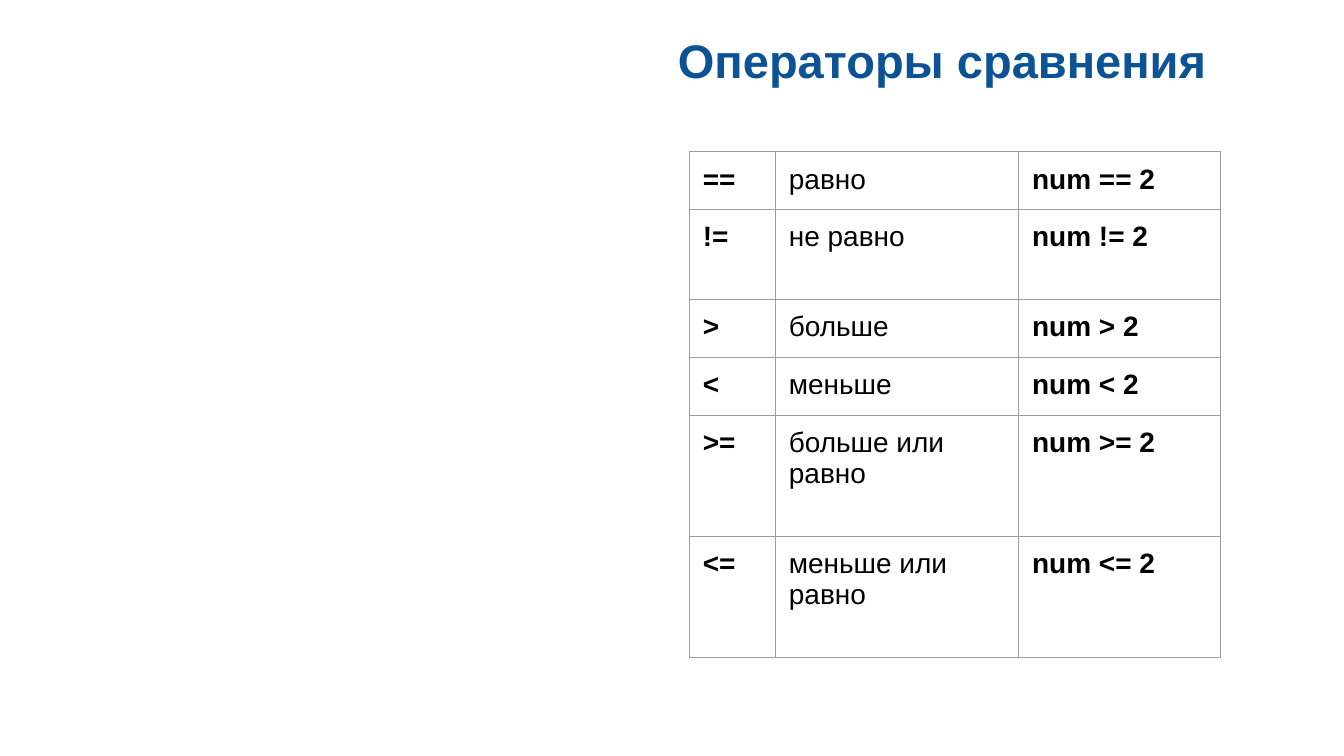
from lxml import etree
from pptx import Presentation
from pptx.dml.color import RGBColor
from pptx.enum import text
from pptx.oxml import ns
from pptx.util import Inches, Pt

BLUE = RGBColor(0x0B, 0x53, 0x94)
BLACK = RGBColor(0, 0, 0)
GREY = RGBColor(0x9E, 0x9E, 0x9E)

OPERATORS = [
    ("==", "равно", 0.43),
    ("!=", "не равно", 0.67),
    (">", "больше", 0.43),
    ("<", "меньше", 0.43),
    (">=", "больше или равно", 0.9),
    ("<=", "меньше или равно", 0.9),
]
COLUMN_WIDTHS = [0.64, 1.81, 1.5]


def style_text(frame, size, color, bold):
    for span in frame.paragraphs[0].runs:
        span.font.name = "Arial"
        span.font.size = Pt(size)
        span.font.bold = bold
        span.font.color.rgb = color


def add_borders(cell):
    properties = cell._tc.get_or_add_tcPr()
    for side in ("lnL", "lnR", "lnT", "lnB"):
        line = etree.SubElement(properties, ns.qn(f"a:{side}"), w=str(Pt(0.75)))
        fill = etree.SubElement(line, ns.qn("a:solidFill"))
        etree.SubElement(fill, ns.qn("a:srgbClr"), val=str(GREY))


deck = Presentation()
deck.slide_width = Inches(10)
deck.slide_height = deck.slide_width * 9 // 16
page = deck.slides.add_slide(deck.slide_layouts[6])

title = page.shapes.add_textbox(Inches(4.25), Inches(0.13), Inches(5.52), Inches(0.63))
frame = title.text_frame
frame.text = "Операторы сравнения"
frame.word_wrap = True
frame.vertical_anchor = text.MSO_ANCHOR.MIDDLE
frame.margin_left = frame.margin_right = Inches(0.1)
frame.margin_top = frame.margin_bottom = Inches(0.1)
frame.paragraphs[0].alignment = text.PP_ALIGN.CENTER
style_text(frame, 25.2, BLUE, True)

table = page.shapes.add_table(
    len(OPERATORS), len(COLUMN_WIDTHS), Inches(5.13), Inches(1.13),
    Inches(sum(COLUMN_WIDTHS)), Inches(sum(height for _, _, height in OPERATORS)),
).table
table.first_row = False
table.horz_banding = False
for column, width in zip(table.columns, COLUMN_WIDTHS):
    column.width = Inches(width)

for row, (operator, meaning, height) in zip(table.rows, OPERATORS):
    row.height = Inches(height)
    for cell, wording in zip(row.cells, (operator, meaning, f"num {operator} 2")):
        cell.text_frame.text = wording
        style_text(cell.text_frame, 15, BLACK, wording != meaning)
        cell.margin_left = cell.margin_right = Inches(0.1)
        cell.margin_top = cell.margin_bottom = Inches(0.09)
        add_borders(cell)
        cell.fill.background()

deck.save("out.pptx")
